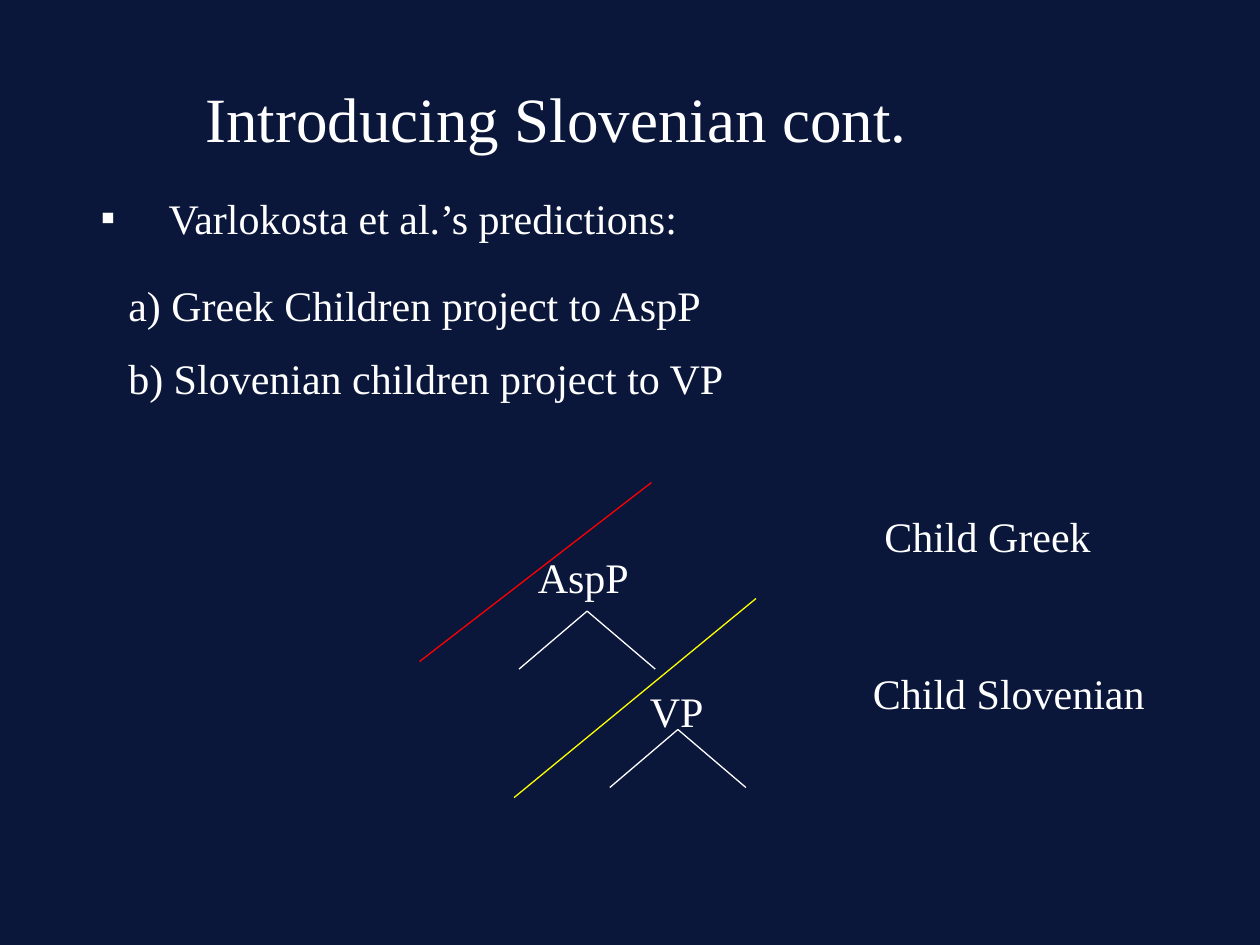
from dataclasses import dataclass

import pptx
import pptx.dml.color
import pptx.enum.shapes
import pptx.enum.text
import pptx.oxml
import pptx.oxml.ns
import pptx.util
from pptx.util import Inches

NAVY = pptx.dml.color.RGBColor(0x0A, 0x17, 0x3B)
WHITE = pptx.dml.color.RGBColor(0xFF, 0xFF, 0xFF)
RED = pptx.dml.color.RGBColor(0xFF, 0x00, 0x00)
YELLOW = pptx.dml.color.RGBColor(0xFF, 0xFF, 0x00)
FONT = "Times New Roman"
BRANCH_WIDTH = 0.54
BRANCH_HEIGHT = 0.46
BULLET_INDENT = 0.54


@dataclass
class Label:
    text: str
    left: float
    top: float
    width: float
    height: float = 0.5
    size: int = 24
    wrap: bool = False
    centered: bool = False
    bullet: str = ""


@dataclass
class Line:
    start: tuple[float, float]
    end: tuple[float, float]
    color: pptx.dml.color.RGBColor = WHITE


TITLE = Label("Introducing Slovenian cont.", 0.75, 0.58, 7.33, 0.7, 36, True, True)
PREDICTIONS = [
    Label("Varlokosta et al.’s predictions:", 0.7, 1.48, 7.55, wrap=True, bullet="▪"),
    Label("a) Greek Children project to AspP", 0.92, 2.17, 4.8),
    Label("b) Slovenian children project to VP", 0.92, 2.75, 4.97),
]
TREE_NODES = [Label("AspP", 4.17, 4.33, 0.96), Label("VP", 5.06, 5.39, 0.7)]
LANGUAGES = [
    Label("Child Greek", 6.92, 4, 1.88),
    Label("Child Slovenian", 6.83, 5.25, 2.4),
]
BRANCH_APEXES = [(4.66, 4.85), (5.38, 5.79)]
GREEK_CUT = Line((3.33, 5.25), (5.17, 3.83), RED)
SLOVENIAN_CUT = Line((4.08, 6.33), (6, 4.75), YELLOW)


def add_bullet(paragraph, character: str) -> None:
    properties = paragraph._p.get_or_add_pPr()
    properties.set("marL", str(Inches(BULLET_INDENT)))
    properties.set("indent", str(-Inches(BULLET_INDENT)))
    for tag, attributes in (
        ("a:buFont", {"typeface": FONT}),
        ("a:buChar", {"char": character}),
    ):
        properties.append(properties.makeelement(pptx.oxml.ns.qn(tag), attributes))


def draw_label(page, label: Label) -> None:
    box = page.shapes.add_textbox(
        Inches(label.left), Inches(label.top), Inches(label.width), Inches(label.height)
    )
    frame = box.text_frame
    frame.text = label.text
    frame.word_wrap = label.wrap
    frame.auto_size = pptx.enum.text.MSO_AUTO_SIZE.SHAPE_TO_FIT_TEXT
    paragraph = frame.paragraphs[0]
    if label.centered:
        paragraph.alignment = pptx.enum.text.PP_ALIGN.CENTER
    if label.bullet:
        add_bullet(paragraph, label.bullet)
    font = paragraph.runs[0].font
    font.name = FONT
    font.size = pptx.util.Pt(label.size)
    font.color.rgb = WHITE


def draw_line(page, line: Line) -> None:
    connector = page.shapes.add_connector(
        pptx.enum.shapes.MSO_CONNECTOR.STRAIGHT,
        *(Inches(value) for value in line.start + line.end),
    )
    connector.line.color.rgb = line.color
    connector.line.width = pptx.util.Pt(0.75)
    properties = connector._element.spPr
    properties.append(properties.makeelement(pptx.oxml.ns.qn("a:effectLst"), {}))


def draw_branches(page, apex: tuple[float, float]) -> None:
    x, y = apex
    for side in (-1, 1):
        draw_line(page, Line(apex, (x + side * BRANCH_WIDTH, y + BRANCH_HEIGHT)))


def main() -> None:
    deck = pptx.Presentation()
    deck.slide_width = Inches(10)
    deck.slide_height = Inches(7.5)
    page = deck.slides.add_slide(deck.slide_layouts[6])
    page.background.fill.solid()
    page.background.fill.fore_color.rgb = NAVY

    draw_label(page, TITLE)
    draw_line(page, GREEK_CUT)
    for apex in BRANCH_APEXES:
        draw_branches(page, apex)
    for node in TREE_NODES:
        draw_label(page, node)
    draw_line(page, SLOVENIAN_CUT)
    for label in LANGUAGES + PREDICTIONS:
        draw_label(page, label)
    deck.save("out.pptx")


if __name__ == "__main__":
    main()
